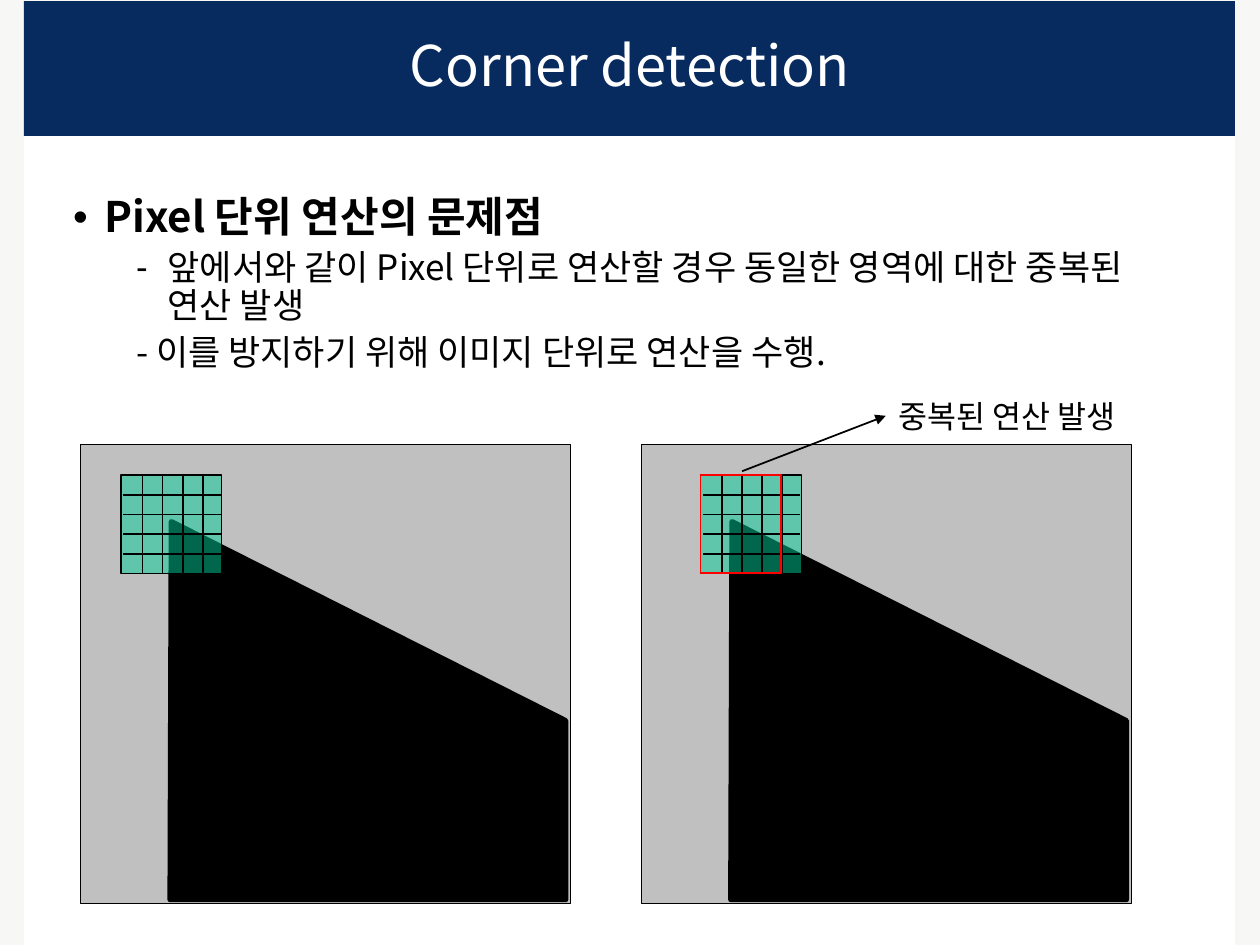
import dataclasses

import pptx
import pptx.dml.color
import pptx.enum.shapes
import pptx.enum.text
import pptx.oxml
import pptx.oxml.ns
import pptx.util

Inches = pptx.util.Inches
Pt = pptx.util.Pt
ShapeType = pptx.enum.shapes.MSO_SHAPE
qn = pptx.oxml.ns.qn


@dataclasses.dataclass(frozen=True)
class Theme:
    font: str = "Noto Sans CJK KR"
    label_font: str = "Karla"
    background: str = "F7F7F5"
    page: str = "FFFFFF"
    banner: str = "072A5F"
    title_text: str = "FFFFFF"
    ink: str = "000000"
    field: str = "C0C0C0"
    window: str = "00CC99"
    overlap: str = "FF0000"
    title_size: int = 32
    heading_size: int = 24
    body_size: int = 20
    label_size: int = 18


THEME = Theme()


def rgb(value):
    return pptx.dml.color.RGBColor.from_string(value)


def append_element(parent, tag, **attributes):
    element = parent.makeelement(qn(tag), attributes)
    parent.append(element)
    return element


def style_shape(shape, fill=None, line=None, width=0.75, alpha=None):
    shape.shadow.inherit = False
    if fill:
        shape.fill.solid()
        shape.fill.fore_color.rgb = rgb(fill)
        if alpha:
            color = shape.fill._xPr.find(qn("a:solidFill"))[0]
            append_element(color, "a:alpha", val=str(alpha * 1000))
    else:
        shape.fill.background()
    if line:
        shape.line.color.rgb = rgb(line)
        shape.line.width = Pt(width)
    else:
        shape.line.fill.background()


def add_box(shapes, box, **style):
    shape = shapes.add_shape(ShapeType.RECTANGLE, *map(Inches, box))
    style_shape(shape, **style)
    return shape


def add_line(shapes, start, end):
    line = shapes.add_connector(
        pptx.enum.shapes.MSO_CONNECTOR.STRAIGHT, *map(Inches, start + end))
    line.line.color.rgb = rgb(THEME.ink)
    line.line.width = Pt(1)
    append_element(line._element.spPr, "a:effectLst")
    return line


def write_run(paragraph, text, size, color, font=THEME.font, bold=False):
    run = paragraph.add_run()
    run.text = text
    for name, value in {"name": font, "size": Pt(size), "bold": bold}.items():
        setattr(run.font, name, value)
    run.font.color.rgb = rgb(color)
    append_element(run.font._element, "a:ea", typeface=THEME.font)


def place(shape, box):
    for name, value in zip(("left", "top", "width", "height"), box):
        setattr(shape, name, Inches(value))


def add_page(slide):
    """Page and title banner, behind the placeholders."""
    slide.background.fill.solid()
    slide.background.fill.fore_color.rgb = rgb(THEME.background)
    placeholders = list(slide.placeholders)
    add_box(slide.shapes, (0.19, 1.07, 9.61, 6.43), fill=THEME.page)
    add_box(slide.shapes, (0.19, 0.01, 9.61, 1.07), fill=THEME.banner)
    for placeholder in placeholders:
        slide.shapes._spTree.append(placeholder._element)


def add_title(slide, box):
    title = slide.shapes.title
    place(title, box)
    frame = title.text_frame
    frame.auto_size = pptx.enum.text.MSO_AUTO_SIZE.NONE
    frame.vertical_anchor = pptx.enum.text.MSO_ANCHOR.MIDDLE
    paragraph = frame.paragraphs[0]
    paragraph.alignment = pptx.enum.text.PP_ALIGN.CENTER
    paragraph.line_spacing = 0.9
    write_run(paragraph, "Corner detection", THEME.title_size, THEME.title_text)


def add_body(slide, box):
    body = slide.placeholders[1]
    place(body, box)
    frame = body.text_frame
    frame.auto_size = pptx.enum.text.MSO_AUTO_SIZE.NONE
    # text, level, left margin, first-line indent, bullet
    items = [
        ("Pixel 단위 연산의 문제점", 0, 0.25, -0.25, "•"),
        ("앞에서와 같이 Pixel 단위로 연산할 경우 동일한 영역에 대한 중복된 연산 발생",
         1, 0.75, -0.25, "-"),
        ("- 이를 방지하기 위해 이미지 단위로 연산을 수행.", 1, 0.5, 0, None),
    ]
    for index, (text, level, margin, indent, bullet) in enumerate(items):
        paragraph = frame.add_paragraph() if index else frame.paragraphs[0]
        formats = {"level": level, "line_spacing": 0.9,
                   "space_before": Pt(5 if level else 10)}
        for name, value in formats.items():
            setattr(paragraph, name, value)
        properties = paragraph._p.get_or_add_pPr()
        properties.set("marL", str(Inches(margin)))
        properties.set("indent", str(Inches(indent)))
        if bullet:
            append_element(properties, "a:buChar", char=bullet)
        else:
            append_element(properties, "a:buNone")
        size = THEME.body_size if level else THEME.heading_size
        write_run(paragraph, text, size, THEME.ink, bold=level == 0)


def add_corner_image(slide, box):
    """Grey field with a black corner region."""
    left, top, width, height = box
    shapes = slide.shapes.add_group_shape().shapes
    add_box(shapes, box, fill=THEME.field, line=THEME.ink)
    outline = [(0.71, 3.61), (0.72, 0.61), (3.85, 2.19), (3.85, 3.61)]
    points = [(Inches(left + x), Inches(top + y)) for x, y in outline]
    builder = shapes.build_freeform(*points[0], scale=1.0)
    builder.add_line_segments(points[1:], close=True)
    style_shape(builder.convert_to_shape(), fill=THEME.ink,
                line=THEME.ink, width=3)


def add_window(slide, box, cells=5):
    """Translucent pixel window divided into square cells."""
    left, top, width, height = box
    shapes = slide.shapes.add_group_shape().shapes
    add_box(shapes, box, fill=THEME.window, line=THEME.ink, alpha=50)
    for index in range(1, cells):
        x = left + 0.01 + index * 0.16
        y = top + index * 0.157
        add_line(shapes, (left + 0.02, y), (left + width - 0.01, y))
        add_line(shapes, (x, top), (x, top + height))


def add_overlap_note(slide, window, label_box):
    """Red frame on the repeated cells, with an arrow to its label."""
    left, top, width, height = window
    add_box(slide.shapes, (left, top, width * 0.8, height),
            line=THEME.overlap, width=1)
    label = slide.shapes.add_textbox(*map(Inches, label_box))
    frame = label.text_frame
    frame.word_wrap = False
    frame.auto_size = pptx.enum.text.MSO_AUTO_SIZE.SHAPE_TO_FIT_TEXT
    write_run(frame.paragraphs[0], "중복된 연산 발생", THEME.label_size,
              THEME.ink, font=THEME.label_font)
    arrow = add_line(slide.shapes, (left + 0.33, top - 0.03), label_box[:2])
    arrow.end_connect(label, 1)
    append_element(arrow.line._get_or_add_ln(), "a:tailEnd", type="triangle")


def main():
    presentation = pptx.Presentation()
    presentation.slide_width = Inches(10)
    presentation.slide_height = Inches(7.5)
    slide = presentation.slides.add_slide(presentation.slide_layouts[1])

    add_page(slide)
    add_title(slide, (0.47, 0.21, 9.06, 0.67))
    add_body(slide, (0.48, 1.51, 9.05, 5.26))

    # Two neighbouring window positions on the same image
    windows = [(x, 3.77, 0.8, 0.78) for x in (0.96, 5.56)]
    for image_left, window in zip((0.64, 5.09), windows):
        add_corner_image(slide, (image_left, 3.53, 3.89, 3.64))
        add_window(slide, window)
    add_overlap_note(slide, windows[1], (7.03, 3.1, 2.11, 0.4))

    presentation.save("out.pptx")


if __name__ == "__main__":
    main()
